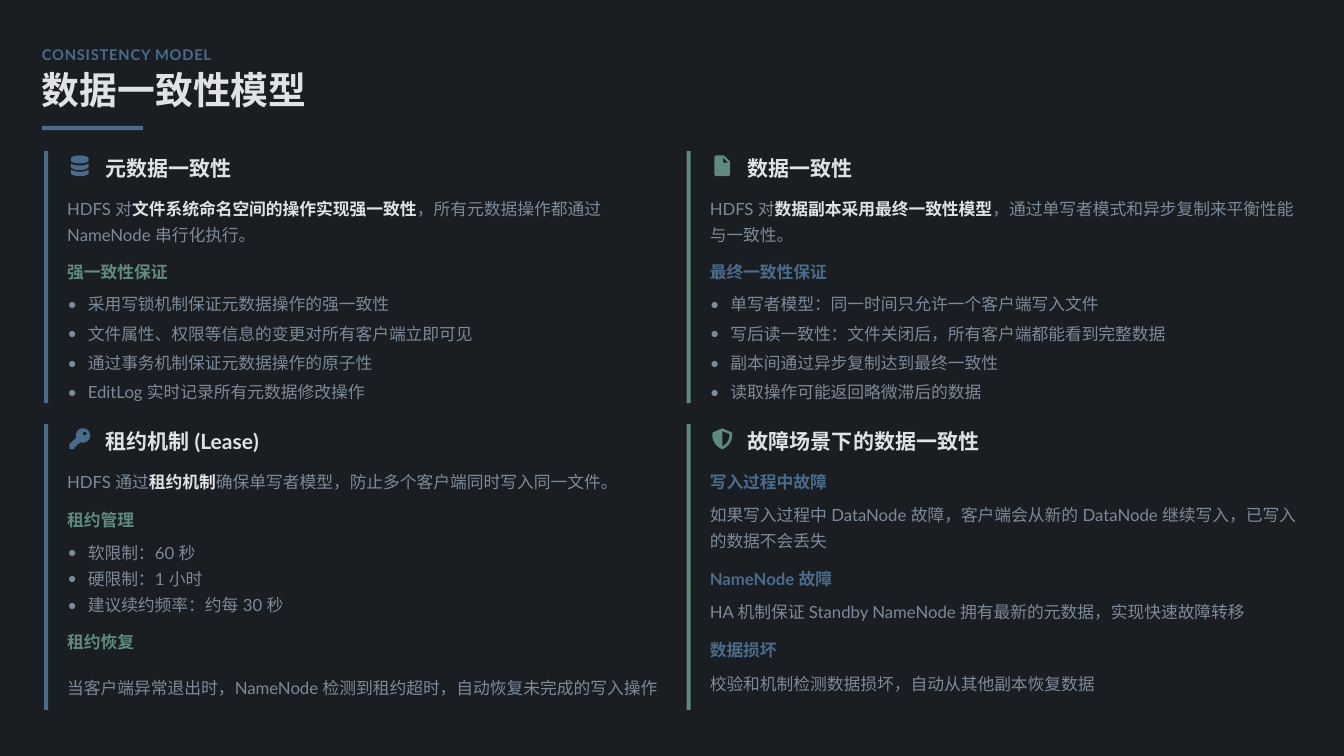
from dataclasses import dataclass

from lxml.etree import SubElement
from pptx import Presentation
from pptx.dml.color import RGBColor
from pptx.enum.shapes import MSO_SHAPE
from pptx.enum.text import MSO_ANCHOR, MSO_AUTO_SIZE, PP_ALIGN
from pptx.oxml.ns import qn
from pptx.util import Cm, Pt


@dataclass(frozen=True)
class Theme:
    background: str = "1A1D21"
    bright: str = "E0E2E5"
    muted: str = "7D8A99"
    blue: str = "4A6C8C"
    green: str = "5E8B7E"
    font: str = "Lato"
    title_font: str = "Noto Sans CJK SC"
    kicker_size: int = 14
    title_size: int = 36
    heading_size: int = 20
    body_size: int = 16


THEME = Theme()

KICKER = "CONSISTENCY MODEL"
TITLE = "数据一致性模型"

CARDS = [
    {"icon": "database", "heading": "元数据一致性", "blocks": [
        ("text", 2, ["HDFS 对", "文件系统命名空间的操作实现强一致性",
                     "，所有元数据操作都通过 NameNode 串行化执行。"]),
        ("label", 1, ["强一致性保证"]),
        ("list", 3, ["采用写锁机制保证元数据操作的强一致性",
                     "文件属性、权限等信息的变更对所有客户端立即可见",
                     "通过事务机制保证元数据操作的原子性",
                     "EditLog 实时记录所有元数据修改操作"]),
    ]},
    {"icon": "file", "heading": "数据一致性", "blocks": [
        ("text", 2, ["HDFS 对", "数据副本采用最终一致性模型",
                     "，通过单写者模式和异步复制来平衡性能与一致性。"]),
        ("label", 1, ["最终一致性保证"]),
        ("list", 3, ["单写者模型：同一时间只允许一个客户端写入文件",
                     "写后读一致性：文件关闭后，所有客户端都能看到完整数据",
                     "副本间通过异步复制达到最终一致性",
                     "读取操作可能返回略微滞后的数据"]),
    ]},
    {"icon": "key", "heading": "租约机制 (Lease)", "blocks": [
        ("text", 1, ["HDFS 通过", "租约机制",
                     "确保单写者模型，防止多个客户端同时写入同一文件。"]),
        ("label", 1, ["租约管理"]),
        ("list", 0, ["软限制：60 秒", "硬限制：1 小时", "建议续约频率：约每 30 秒"]),
        ("label", 1, ["租约恢复"]),
        ("text", 2, ["当客户端异常退出时，NameNode 检测到租约超时，自动恢复未完成的写入操作"]),
    ]},
    {"icon": "shield", "heading": "故障场景下的数据一致性", "blocks": [
        ("label", 1, ["写入过程中故障"]),
        ("text", 2, ["如果写入过程中 DataNode 故障，客户端会从新的 DataNode 继续写入，"
                     "已写入的数据不会丢失"]),
        ("label", 1, ["NameNode 故障"]),
        ("text", 1, ["HA 机制保证 Standby NameNode 拥有最新的元数据，实现快速故障转移"]),
        ("label", 1, ["数据损坏"]),
        ("text", 1, ["校验和机制检测数据损坏，自动从其他副本恢复数据"]),
    ]},
]

ICONS = {
    "database": "M 7 16 C 7 -5 93 -5 93 16 L 93 23 C 93 44 7 44 7 23 "
                "M 7 39 C 25 52 75 52 93 39 L 93 54 C 93 76 7 76 7 54 "
                "M 7 68 C 25 82 75 82 93 68 L 93 84 C 93 105 7 105 7 84",
    "file": "M 24 0 L 53 0 C 57 0 59 1 62 4 L 84 26 C 87 29 88 31 88 35 L 88 88 "
            "C 88 95 83 100 76 100 L 24 100 C 17 100 12 95 12 88 L 12 12 C 12 5 17 0 24 0 "
            "M 53 11 L 53 31 C 53 34 55 35 57 35 L 77 35",
    "key": "M 66 69 C 85 69 100 53 100 34 C 100 15 85 0 66 0 C 47 0 31 15 31 34 "
           "C 31 38 32 41 33 45 L 1 76 C 0 78 0 79 0 80 L 0 95 C 0 98 2 100 5 100 "
           "L 20 100 C 23 100 25 98 25 95 L 25 88 L 33 88 C 35 88 37 86 37 83 L 37 75 "
           "L 45 75 C 46 75 47 74 48 73 L 55 67 C 59 68 62 69 66 69 "
           "M 74 17 C 86 17 86 34 74 34 C 62 34 62 17 74 17",
    "shield": "M 50 0 L 91 18 C 95 20 98 23 98 28 C 98 55 87 83 54 99 C 51 100 49 100 46 99 "
              "C 13 83 2 55 2 28 C 2 23 5 20 9 18 M 50 13 L 50 87 C 76 74 85 50 85 28",
}

MARGIN = 1.41
CARD_LEFT, COLUMN_PITCH = 1.48, 21.59
ROWS = [(5.08, 8.47), (14.25, 9.6)]
BAR = 0.14
LINE_HEIGHT = 0.85
GAPS = {"label": 0.42, "text": 0.28, "list": 0.28}
FIRST_BLOCK = 1.41
TEXT_INSET, TEXT_WIDTH = 0.78, 20.16
HEADING_INSET, HEADING_WIDTH, HEADING_HEIGHT = 2.06, 18, 0.99
ICON_INSET, ICON_TOP, ICON_SIZE = 0.85, 0.14, 0.7
BULLET_INDENT = 0.69


def place(shape, left, top, width, height):
    shape.left, shape.top = Cm(left), Cm(top)
    shape.width, shape.height = Cm(width), Cm(height)
    frame = shape.text_frame
    frame.word_wrap = True
    frame.auto_size = MSO_AUTO_SIZE.NONE
    frame.vertical_anchor = MSO_ANCHOR.MIDDLE
    frame.margin_left = frame.margin_right = frame.margin_top = frame.margin_bottom = 0
    return frame


def add_box(slide, *bounds):
    return place(slide.shapes.add_textbox(0, 0, 0, 0), *bounds)


def format_paragraph(paragraph, spacing, before=0):
    paragraph.alignment = PP_ALIGN.LEFT
    paragraph.line_spacing = spacing
    paragraph.space_before = Pt(before)
    paragraph.space_after = Pt(0)


def add_run(paragraph, text, size, color, bold=False, font=THEME.font):
    run = paragraph.add_run()
    run.text = text
    run.font.size = Pt(size)
    run.font.bold = bold
    run.font.color.rgb = RGBColor.from_string(color)
    run.font.name = font
    properties = run._r.get_or_add_rPr()
    SubElement(properties, qn("a:ea")).set("typeface", font)
    return properties


def add_bullet(paragraph):
    properties = paragraph._p.get_or_add_pPr()
    properties.set("marL", str(Cm(BULLET_INDENT)))
    properties.set("indent", str(-Cm(BULLET_INDENT)))
    SubElement(properties, qn("a:buFont")).set("typeface", THEME.font)
    SubElement(properties, qn("a:buChar")).set("char", "•")


def paint(shape, color):
    shape.shadow.inherit = False
    shape.fill.solid()
    shape.fill.fore_color.rgb = RGBColor.from_string(color)
    shape.line.fill.background()


def add_bar(slide, color, *bounds):
    paint(slide.shapes.add_shape(MSO_SHAPE.RECTANGLE, *map(Cm, bounds)), color)


def trace(contour):
    tokens = iter(contour.split())
    points = [(float(next(tokens)), float(next(tokens)))]
    for command in tokens:
        count = 3 if command == "C" else 1
        ends = [(float(next(tokens)), float(next(tokens))) for _ in range(count)]
        if command == "L":
            points += ends
            continue
        curve = [points[-1], *ends]
        for step in range(1, 9):
            t = step / 8
            weights = ((1 - t) ** 3, 3 * t * (1 - t) ** 2, 3 * t * t * (1 - t), t ** 3)
            points.append(tuple(sum(w * p[axis] for w, p in zip(weights, curve))
                                for axis in (0, 1)))
    return [(round(x * 10), round(y * 10)) for x, y in points]


def add_icon(slide, name, color, left, top):
    contours = [trace(part) for part in ICONS[name].split("M")[1:]]
    builder = slide.shapes.build_freeform(*contours[0][0], scale=Cm(ICON_SIZE) / 1000)
    for index, points in enumerate(contours):
        if index:
            builder.move_to(*points[0])
        builder.add_line_segments(points[1:], close=True)
    paint(builder.convert_to_shape(Cm(left), Cm(top)), color)


def add_block(slide, bodies, kind, measure, texts, label_color, left, top):
    if kind == "list":
        height = len(texts) * LINE_HEIGHT + (len(texts) - 1) * Pt(measure).cm
        frame = place(bodies.pop(0), left, top, TEXT_WIDTH, height)
        for index, text in enumerate(texts):
            paragraph = frame.add_paragraph() if index else frame.paragraphs[0]
            add_bullet(paragraph)
            format_paragraph(paragraph, 1.3, measure if index else 0)
            add_run(paragraph, text, THEME.body_size, THEME.muted)
        return height
    height = measure * LINE_HEIGHT
    paragraph = add_box(slide, left, top, TEXT_WIDTH, height).paragraphs[0]
    format_paragraph(paragraph, 1.3)
    for index, text in enumerate(texts):
        strong = index == 1
        color = label_color if kind == "label" else THEME.bright if strong else THEME.muted
        add_run(paragraph, text, THEME.body_size, color, strong or kind == "label")
    return height


def add_card(slide, bodies, card, row, column):
    left = CARD_LEFT + column * COLUMN_PITCH
    top, height = ROWS[row]
    accent, label_color = [(THEME.blue, THEME.green), (THEME.green, THEME.blue)][column]
    add_bar(slide, accent, left, top, BAR, height)
    add_icon(slide, card["icon"], accent, left + ICON_INSET, top + ICON_TOP)
    frame = add_box(slide, left + HEADING_INSET, top, HEADING_WIDTH, HEADING_HEIGHT)
    format_paragraph(frame.paragraphs[0], 1.2)
    add_run(frame.paragraphs[0], card["heading"], THEME.heading_size, THEME.bright, True)
    y = top + FIRST_BLOCK
    for index, (kind, measure, texts) in enumerate(card["blocks"]):
        y += GAPS[kind] if index else 0
        y += add_block(slide, bodies, kind, measure, texts, label_color, left + TEXT_INSET, y)


def main():
    presentation = Presentation()
    presentation.slide_width, presentation.slide_height = Cm(45.16), Cm(25.4)
    slide = presentation.slides.add_slide(presentation.slide_layouts.get_by_name("Comparison"))
    slide.background.fill.solid()
    slide.background.fill.fore_color.rgb = RGBColor.from_string(THEME.background)
    bodies = [shape for shape in slide.placeholders if shape.placeholder_format.idx > 0]

    kicker = add_box(slide, MARGIN, 1.41, 42.57, 0.71).paragraphs[0]
    format_paragraph(kicker, 1.2)
    add_run(kicker, KICKER, THEME.kicker_size, THEME.blue, True).set("spc", "70")
    title = place(slide.shapes.title, MARGIN, 2.38, 42.97, 1.42).paragraphs[0]
    format_paragraph(title, 0.9)
    add_run(title, TITLE, THEME.title_size, THEME.bright, True, THEME.title_font)
    add_bar(slide, THEME.blue, MARGIN, 4.23, 3.39, BAR)

    for index, card in enumerate(CARDS):
        add_card(slide, bodies, card, *divmod(index, 2))
    for unused in bodies:
        unused._element.getparent().remove(unused._element)
    presentation.save("out.pptx")


if __name__ == "__main__":
    main()
